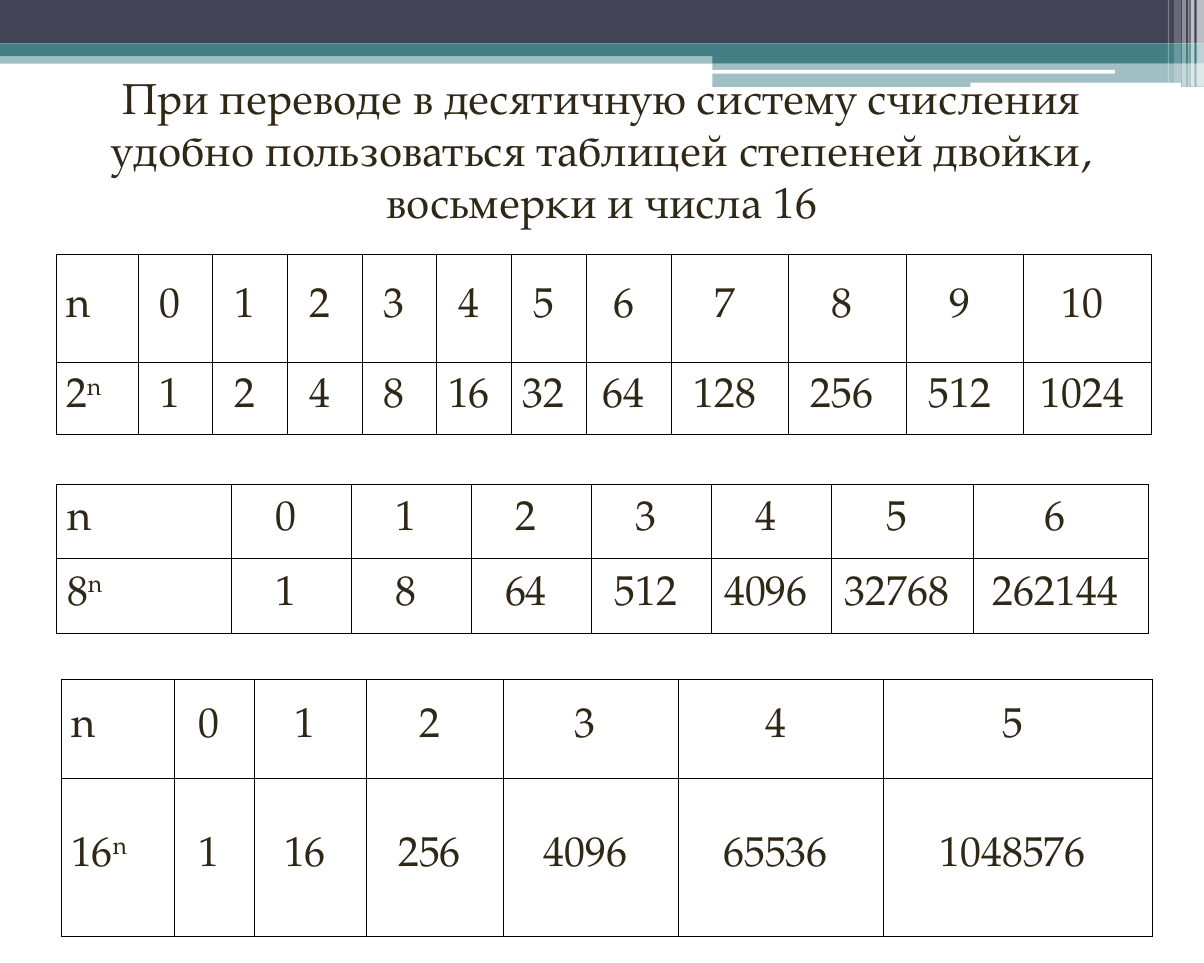
import pptx
import pptx.util
import pptx.dml.color
import pptx.enum.shapes
import pptx.enum.text
import pptx.oxml
import pptx.oxml.ns

Pt = pptx.util.Pt
RGB = pptx.dml.color.RGBColor.from_string
MIDDLE = pptx.enum.text.MSO_ANCHOR.MIDDLE
CENTER = pptx.enum.text.PP_ALIGN.CENTER
LEFT = pptx.enum.text.PP_ALIGN.LEFT
RECT = pptx.enum.shapes.MSO_SHAPE.RECTANGLE
ROUNDED = pptx.enum.shapes.MSO_SHAPE.ROUNDED_RECTANGLE

THEME = {
    "navy": "424456",
    "teal": "438086",
    "white": "FFFFFF",
    "ink": "2F2817",
    "grid": "000000",
    "font": "TeX Gyre Pagella",
    "title_size": 26,
    "table_size": 25,
    "grid_width": 0.45,
}


def style_text(paragraph, size, alignment):
    paragraph.alignment = alignment
    paragraph.font.name = THEME["font"]
    paragraph.font.size = Pt(size)
    paragraph.font.color.rgb = RGB(THEME["ink"])


def add_borders(cell):
    properties = cell._tc.get_or_add_tcPr()
    for position, side in enumerate(("lnL", "lnR", "lnT", "lnB")):
        properties.insert(position, pptx.oxml.parse_xml(
            f'<a:{side} {pptx.oxml.ns.nsdecls("a")} w="{Pt(THEME["grid_width"])}">'
            f'<a:solidFill><a:srgbClr val="{THEME["grid"]}"/></a:solidFill></a:{side}>'))


deck = pptx.Presentation()
deck.slide_width = Pt(720)
deck.slide_height = Pt(576)
slide = deck.slides.add_slide(deck.slide_layouts[6])

header_bands = [
    (RECT, 0, 31, 720, 7, "teal", 50),
    (RECT, 0, 0, 720, 26, "navy", 100),
    (RECT, 0, 26, 720, 7.6, "teal", 100),
    (RECT, 426, 30.2, 294, 7.6, "teal", 100),
    (RECT, 426, 37, 294, 15, "teal", 50),
    (ROUNDED, 425.5, 41.8, 241.2, 2.2, "white", 100),
    (ROUNDED, 580.3, 49.4, 126, 2.8, "white", 100),
    (RECT, 715.7, 0, 4.3, 51.8, "white", 65),
    (RECT, 712.1, 0, 2.2, 51.8, "white", 65),
    (RECT, 710.6, 0, 0.7, 51.8, "white", 60),
    (RECT, 707, 0, 2.2, 51.8, "white", 40),
    (RECT, 702, 0, 4.3, 49, "white", 20),
    (RECT, 698.4, 0, 0.7, 49, "white", 30),
]
for outline, left, top, width, height, color, opacity in header_bands:
    band = slide.shapes.add_shape(outline, Pt(left), Pt(top), Pt(width), Pt(height))
    band.shadow.inherit = False
    band.line.fill.background()
    band.fill.solid()
    band.fill.fore_color.rgb = RGB(THEME[color])
    if opacity < 100:
        fill_color = band._element.spPr.find(".//" + pptx.oxml.ns.qn("a:srgbClr"))
        fill_color.append(pptx.oxml.parse_xml(
            f'<a:alpha {pptx.oxml.ns.nsdecls("a")} val="{opacity * 1000}"/>'))

title = slide.shapes.add_textbox(Pt(38.2), Pt(38.9), Pt(643.6), Pt(101))
title.text_frame.word_wrap = True
heading = title.text_frame.paragraphs[0]
heading.text = ("При переводе в десятичную систему счисления удобно пользоваться "
                "таблицей степеней двойки, восьмерки и числа 16")
style_text(heading, THEME["title_size"], CENTER)

power_tables = [
    (2, 33.8, 151.9, [48.7] + [44.7] * 6 + [51] + [70.2] * 3 + [76.6], [64.8, 43.2], 5.8),
    (8, 33.8, 289.6, [104.4] + [71.8] * 5 + [85, 104.4], [44.6, 44.6], 6.5),
    (16, 36.7, 406.3, [67.7, 47.6, 67, 82, 104.4, 123, 160.6], [59, 95], 5.8),
]
for base, left, top, widths, heights, inset in power_tables:
    table = slide.shapes.add_table(len(heights), len(widths), Pt(left), Pt(top),
                                   Pt(sum(widths)), Pt(sum(heights))).table
    table.first_row = False
    table.horz_banding = False
    for column, width in zip(table.columns, widths):
        column.width = Pt(width)
    for row, height in zip(table.rows, heights):
        row.height = Pt(height)

    exponents = range(len(widths) - 1)
    table.cell(0, 0).text = "n"
    power_label = table.cell(1, 0).text_frame.paragraphs[0]
    power_label.add_run().text = str(base)
    superscript = power_label.add_run()
    superscript.text = "n"
    superscript.font._element.set("baseline", "30000")
    for exponent in exponents:
        table.cell(0, exponent + 1).text = f"{exponent} "
        table.cell(1, exponent + 1).text = f"{base ** exponent} "

    for row in table.rows:
        for position, cell in enumerate(row.cells):
            cell.vertical_anchor = MIDDLE
            cell.margin_left = cell.margin_right = Pt(inset)
            cell.margin_top = cell.margin_bottom = Pt(3.6)
            cell.fill.solid()
            cell.fill.fore_color.rgb = RGB(THEME["white"])
            add_borders(cell)
            style_text(cell.text_frame.paragraphs[0], THEME["table_size"],
                       CENTER if position else LEFT)

deck.save("out.pptx")
